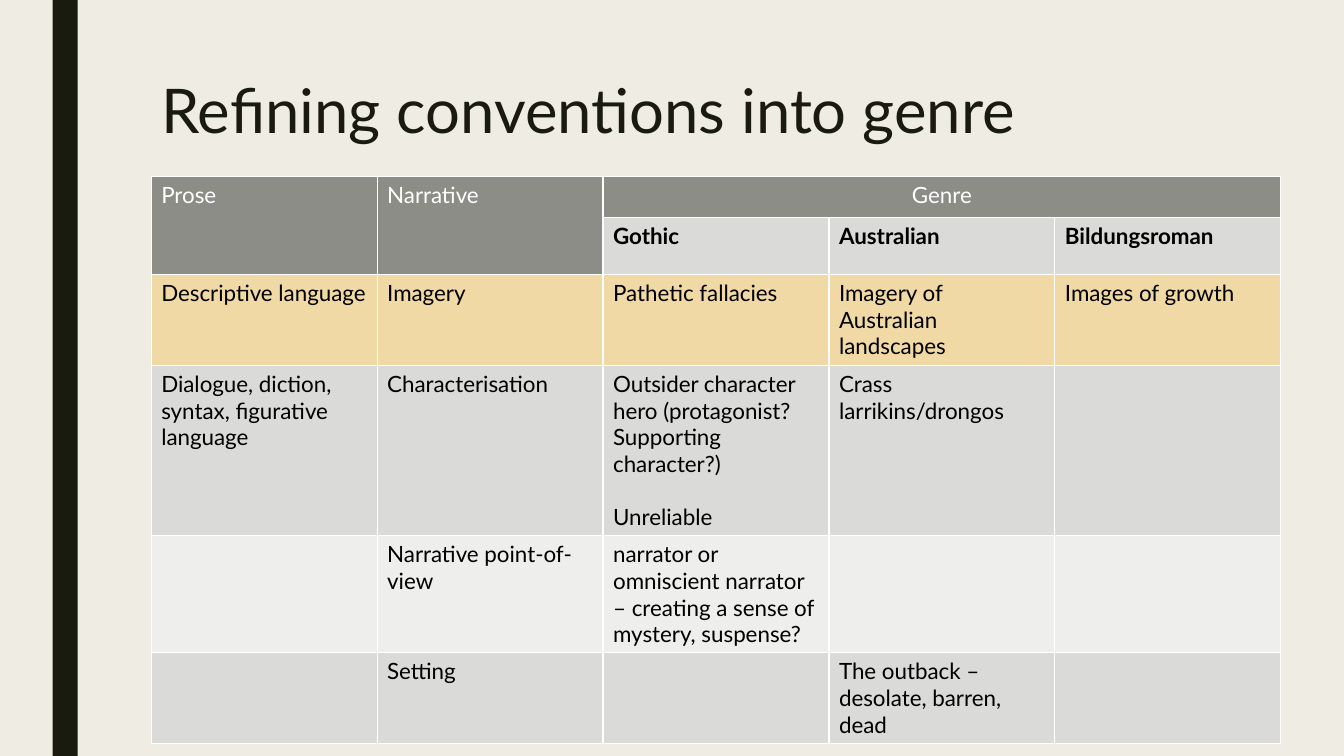
from pptx import Presentation
from pptx.dml.color import RGBColor
from pptx.enum.shapes import MSO_SHAPE
from pptx.enum.text import MSO_ANCHOR, MSO_AUTO_SIZE, PP_ALIGN
from pptx.oxml.ns import qn
from pptx.util import Pt
from lxml.etree import SubElement

COLOURS = {
    "paper": "EFEDE3", "ink": "191B0E", "heading": "8C8D86", "white": "FFFFFF",
    "black": "000000", "highlight": "F0D9A5", "dark band": "DADBD9", "light band": "EEEEED",
}
CONVENTIONS = [
    (29.2, "heading", ["Prose", "Narrative", "Genre", "", ""]),
    (40.7, "dark band", ["", "", "Gothic", "Australian", "Bildungsroman"]),
    (65, "highlight", ["Descriptive language", "Imagery", "Pathetic fallacies",
                       "Imagery of Australian landscapes", "Images of growth"]),
    (121.4, "dark band", ["Dialogue, diction, syntax, figurative language", "Characterisation",
                          "Outsider character hero (protagonist? Supporting character?)\nUnreliable",
                          "Crass larrikins/drongos", ""]),
    (83.6, "light band", ["", "Narrative point-of-view",
                          "narrator or omniscient narrator – creating a sense of mystery, suspense?",
                          "", ""]),
    (65, "dark band", ["", "Setting", "", "The outback – desolate, barren, dead", ""]),
]
HEADING_SPANS = [((0, 0), (1, 0)), ((0, 1), (1, 1)), ((0, 2), (0, 4))]


class SlideBuilder:
    """Hold the style and the current slide."""

    def __init__(self, slide, font="Lato"):
        self.slide = slide
        self.font = font

    def colour(self, name):
        """Return a named colour."""
        return RGBColor.from_string(COLOURS[name])

    def paint(self, fill, name):
        """Apply a solid named fill."""
        fill.solid()
        fill.fore_color.rgb = self.colour(name)

    def style(self, paragraph, size, colour, bold=False):
        """Format every run of a paragraph."""
        for run in paragraph.runs:
            run.font.name = self.font
            run.font.size = Pt(size)
            run.font.bold = bold
            run.font.color.rgb = self.colour(colour)

    def bar(self, left, top, width, height, colour):
        """Draw a plain coloured bar."""
        stripe = self.slide.shapes.add_shape(
            MSO_SHAPE.RECTANGLE, Pt(left), Pt(top), Pt(width), Pt(height))
        stripe.shadow.inherit = False
        self.paint(stripe.fill, colour)
        stripe.line.fill.background()

    def title(self, text, left, top, width, height):
        """Fill and place the title placeholder."""
        heading = self.slide.shapes.title
        heading.left, heading.top = Pt(left), Pt(top)
        heading.width, heading.height = Pt(width), Pt(height)
        frame = heading.text_frame
        frame.text = text
        frame.word_wrap = True
        frame.auto_size = MSO_AUTO_SIZE.NONE
        frame.vertical_anchor = MSO_ANCHOR.TOP
        frame.paragraphs[0].alignment = PP_ALIGN.LEFT
        frame.paragraphs[0].line_spacing = 0.89
        self.style(frame.paragraphs[0], 44, "ink")

    def borders(self, cell):
        """Give a cell thin white borders."""
        properties = cell._tc.get_or_add_tcPr()
        for side in ("a:lnL", "a:lnR", "a:lnT", "a:lnB"):
            edge = SubElement(properties, qn(side), w=str(Pt(1)))
            SubElement(SubElement(edge, qn("a:solidFill")), qn("a:srgbClr"), val=COLOURS["white"])

    def cell(self, cell, text, fill, colour, bold):
        """Fill and format one table cell."""
        self.borders(cell)
        self.paint(cell.fill, fill)
        cell.text_frame.text = text
        for index, paragraph in enumerate(cell.text_frame.paragraphs):
            if index:
                paragraph.space_before = Pt(19)
            self.style(paragraph, 16, colour, bold)

    def table(self, rows, spans, left, top, column_width):
        """Build a table from row heights, fills and texts."""
        columns = len(rows[0][2])
        height = sum(row[0] for row in rows)
        grid = self.slide.shapes.add_table(
            len(rows), columns, Pt(left), Pt(top), Pt(columns * column_width), Pt(height)).table
        grid.first_row = grid.horz_banding = False
        for column in grid.columns:
            column.width = Pt(column_width)
        for row, (row_height, band, texts) in enumerate(rows):
            grid.rows[row].height = Pt(row_height)
            for column, text in enumerate(texts):
                is_heading = row == 0 or (row == 1 and column < 2)
                self.cell(grid.cell(row, column), text,
                          "heading" if is_heading else band,
                          "white" if is_heading else "black", row == 1)
        for first, last in spans:
            grid.cell(*first).merge(grid.cell(*last))
        grid.cell(0, 2).text_frame.paragraphs[0].alignment = PP_ALIGN.CENTER


def main():
    """Build and save the slide."""
    deck = Presentation()
    deck.slide_width, deck.slide_height = Pt(960), Pt(540)
    slide = deck.slides.add_slide(deck.slide_layouts[5])
    builder = SlideBuilder(slide)
    builder.paint(slide.background.fill, "paper")
    builder.bar(37.5, 0, 18, 540, "ink")
    builder.title("Refining conventions into genre", 108, 54, 756, 116.64)
    builder.table(CONVENTIONS, HEADING_SPANS, 108, 126, 161.4)
    deck.save("out.pptx")


if __name__ == "__main__":
    main()
